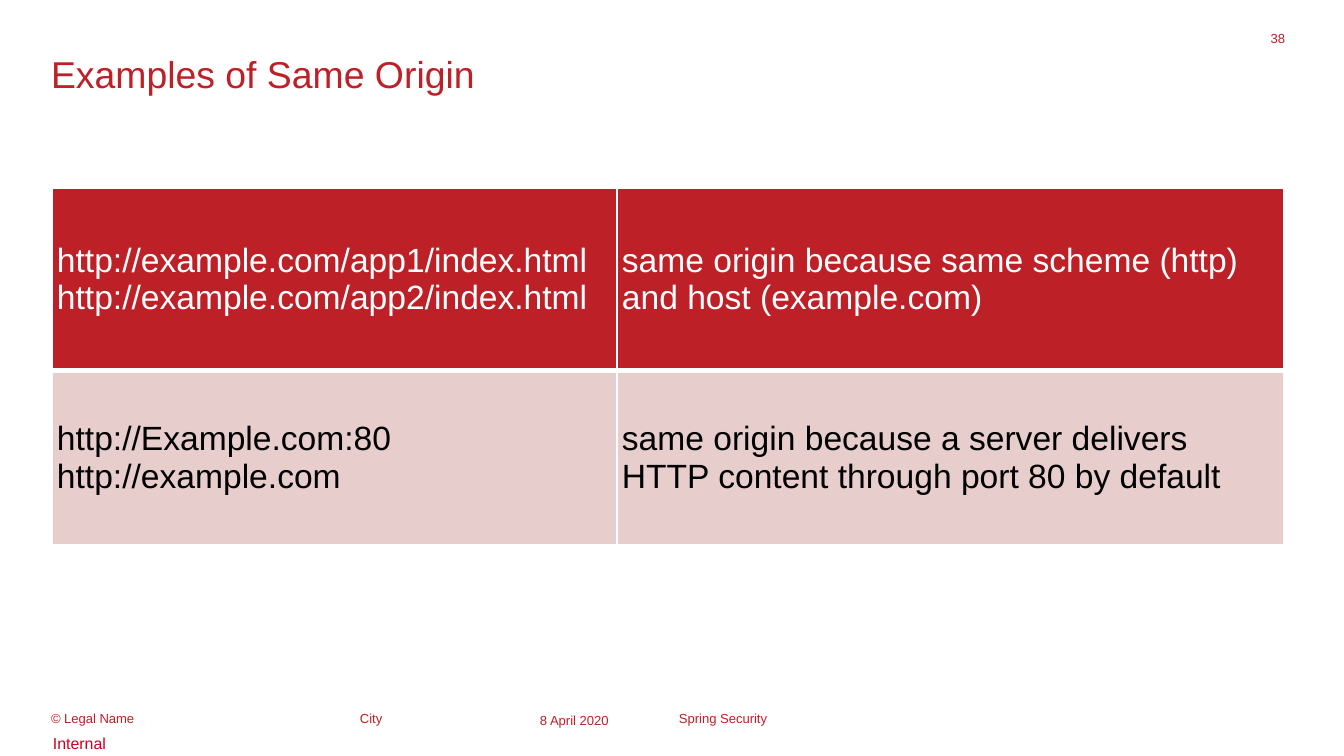
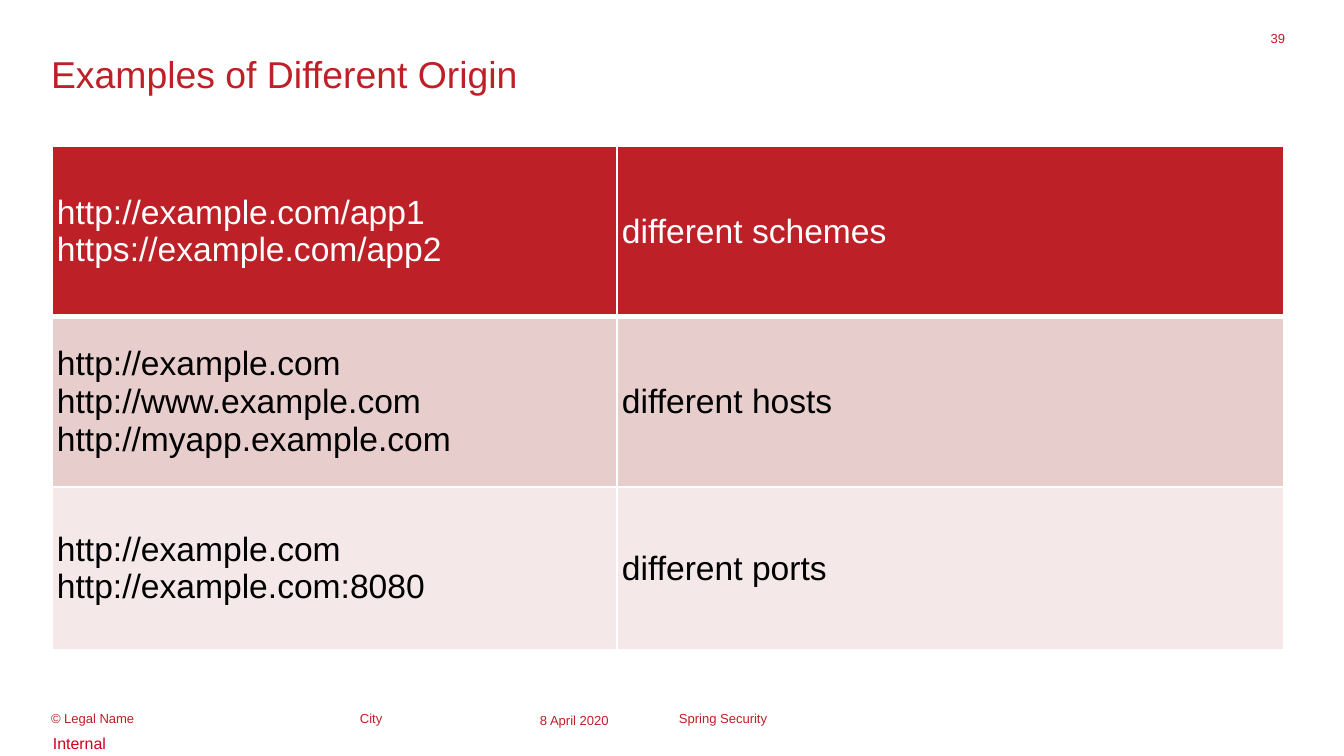
from dataclasses import dataclass

from lxml import etree
from pptx import Presentation
from pptx.dml.color import RGBColor
from pptx.enum.text import MSO_ANCHOR, MSO_AUTO_SIZE, PP_ALIGN
from pptx.oxml.ns import qn
from pptx.util import Pt

TOP, MIDDLE = MSO_ANCHOR.TOP, MSO_ANCHOR.MIDDLE
LEFT, RIGHT = PP_ALIGN.LEFT, PP_ALIGN.RIGHT
NO_AUTOFIT = MSO_AUTO_SIZE.NONE
TITLE_ONLY = 5
EMU_PER_PX = 914400 / 134.4


@dataclass(frozen=True)
class Theme:
    font: str = "Arial"
    red: str = "BD2027"
    label_red: str = "CA001F"
    white: str = "FFFFFF"
    black: str = "000000"
    bands: tuple = ("E8CDCD", "F4E8E8")
    title_size: float = 20
    table_size: float = 18
    footer_size: float = 7
    label_size: float = 8.5
    rule: float = 1
    header_rule: float = 3


THEME = Theme()

SLIDE_SIZE = (1344, 756)
TITLE_BOX = (51, 51, 1232, 69)
NUMBER_BOX = (1255, 30, 30, 20)
FOOTER_BOX = (51, 712, 1054, 12)
LABEL_BOX = (0, 727, 1344, 29)
LABEL_INDENT = 53
COLUMN_WIDTHS = (565, 667)

# text, offset from the footer's left edge, width, anchor, line spacing
FOOTER_PARTS = (
    ("© Legal Name", 0, 290, TOP, 0.96),
    ("City", 309, 165, TOP, 0.96),
    ("8 April 2020", 489, 117, TOP, 1.0),
    ("Spring Security", 628, 426, MIDDLE, 1.0),
)

SAME_ORIGIN = (
    (("http://example.com/app1/index.html", "http://example.com/app2/index.html"),
     "same origin because same scheme (http) and host (example.com)"),
    (("http://Example.com:80", "http://example.com"),
     "same origin because a server delivers HTTP content through port 80 by default"),
)
DIFFERENT_ORIGIN = (
    (("http://example.com/app1", "https://example.com/app2"), "different schemes"),
    (("http://example.com", "http://www.example.com", "http://myapp.example.com"),
     "different hosts"),
    (("http://example.com", "http://example.com:8080"), "different ports"),
)

# number, title, table's left and top, row heights, rows
SLIDES = (
    (38, "Examples of Same Origin", (52, 188), (183, 174), SAME_ORIGIN),
    (39, "Examples of Different Origin", (52, 146), (171, 170, 163), DIFFERENT_ORIGIN),
)


def px(length):
    return round(length * EMU_PER_PX)


def write(frame, text, size, color, align=LEFT, spacing=1.0):
    """Fill a text frame with one paragraph in the theme font."""
    frame.text = text
    paragraph = frame.paragraphs[0]
    paragraph.alignment = align
    paragraph.line_spacing = spacing
    for run in paragraph.runs:
        run.font.name = THEME.font
        run.font.size = Pt(size)
        run.font.bold = False
        run.font.color.rgb = RGBColor.from_string(color)


def set_frame(frame, anchor=TOP, left=0, top=0):
    frame.word_wrap = True
    frame.auto_size = NO_AUTOFIT
    frame.vertical_anchor = anchor
    frame.margin_left, frame.margin_top = px(left), px(top)
    frame.margin_right = frame.margin_bottom = 0


def add_text(slide, box, text, size, color, align=LEFT, spacing=1.0, **frame_options):
    frame = slide.shapes.add_textbox(*map(px, box)).text_frame
    set_frame(frame, **frame_options)
    write(frame, text, size, color, align, spacing)


def add_title(slide, box, text):
    title = slide.shapes.title
    title.left, title.top, title.width, title.height = map(px, box)
    set_frame(title.text_frame)
    write(title.text_frame, text, THEME.title_size, THEME.red)


def add_footer(slide, box):
    left, top, _, height = box
    for text, offset, width, anchor, spacing in FOOTER_PARTS:
        add_text(slide, (left + offset, top, width, height), text,
                 THEME.footer_size, THEME.red, spacing=spacing, anchor=anchor)


def add_cell_borders(cell, bottom_width):
    """Draw white rules round a cell; call before filling it."""
    properties = cell._tc.get_or_add_tcPr()
    for side in ("lnL", "lnR", "lnT", "lnB"):
        width = bottom_width if side == "lnB" else THEME.rule
        line = etree.SubElement(properties, qn(f"a:{side}"), w=str(Pt(width)))
        fill = etree.SubElement(line, qn("a:solidFill"))
        etree.SubElement(fill, qn("a:srgbClr"), val=THEME.white)


def fill_cell(cell, text, row):
    is_header = row == 0
    add_cell_borders(cell, THEME.header_rule if is_header else THEME.rule)
    band = THEME.red if is_header else THEME.bands[(row - 1) % len(THEME.bands)]
    cell.fill.solid()
    cell.fill.fore_color.rgb = RGBColor.from_string(band)
    cell.vertical_anchor = MIDDLE
    cell.margin_left = cell.margin_right = px(5)
    cell.margin_top = cell.margin_bottom = px(4)
    write(cell.text_frame, text, THEME.table_size,
          THEME.white if is_header else THEME.black)


def add_origin_table(slide, position, row_heights, examples):
    box = (*position, sum(COLUMN_WIDTHS), sum(row_heights))
    table = slide.shapes.add_table(
        len(examples), len(COLUMN_WIDTHS), *map(px, box)).table
    table.first_row = table.horz_banding = False
    for column, width in zip(table.columns, COLUMN_WIDTHS):
        column.width = px(width)
    for row, (addresses, reason) in enumerate(examples):
        table.rows[row].height = px(row_heights[row])
        fill_cell(table.cell(row, 0), "\v".join(addresses), row)
        fill_cell(table.cell(row, 1), reason, row)


def add_origin_slide(deck, number, title, position, row_heights, examples):
    slide = deck.slides.add_slide(deck.slide_layouts[TITLE_ONLY])
    add_footer(slide, FOOTER_BOX)
    add_text(slide, LABEL_BOX, "Internal", THEME.label_size, THEME.label_red,
             left=LABEL_INDENT, top=7)
    add_text(slide, NUMBER_BOX, str(number), THEME.footer_size, THEME.red, align=RIGHT)
    add_title(slide, TITLE_BOX, title)
    add_origin_table(slide, position, row_heights, examples)


def main():
    deck = Presentation()
    deck.slide_width, deck.slide_height = map(px, SLIDE_SIZE)
    for content in SLIDES:
        add_origin_slide(deck, *content)
    deck.save("out.pptx")


if __name__ == "__main__":
    main()
